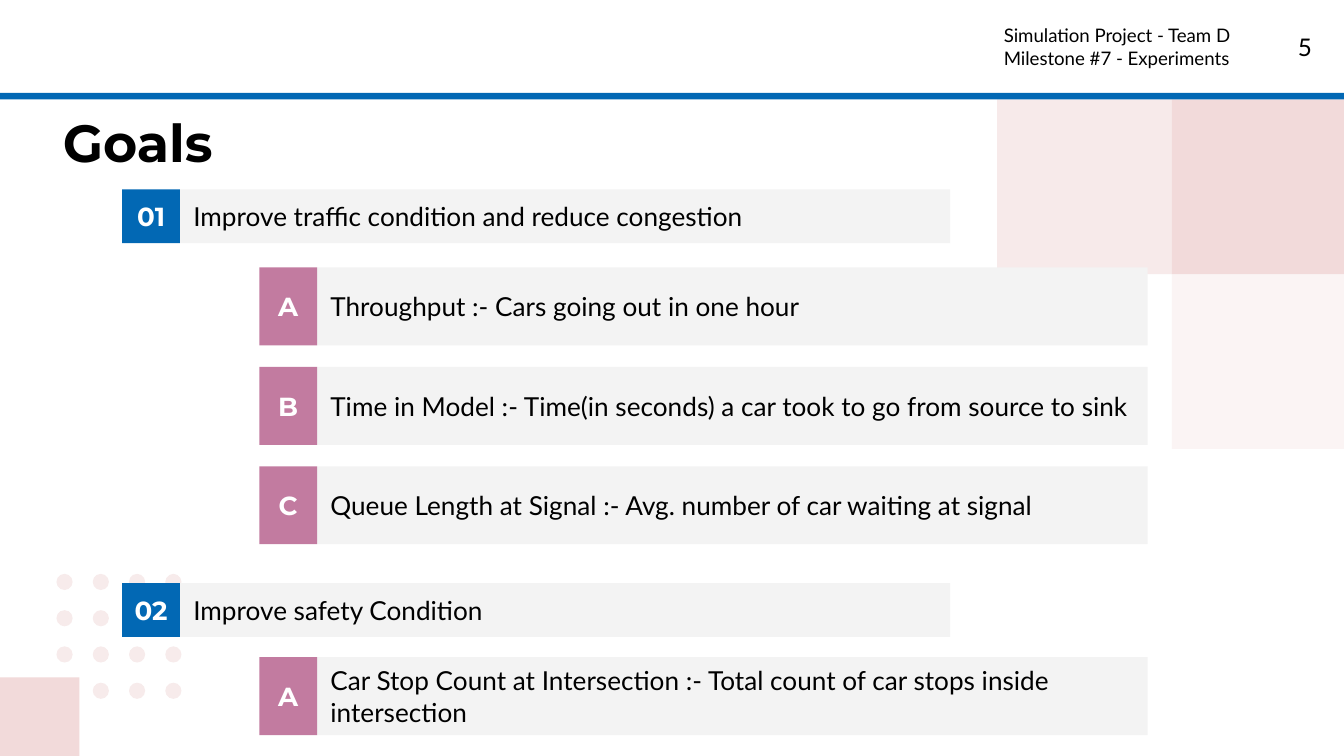
from lxml import etree
from pptx import Presentation
from pptx import util as u
from pptx.dml import color
from pptx.enum import shapes, text
from pptx.oxml import ns

COLORS = {"white": "FFFFFF", "black": "000000", "blue": "0268B4", "mauve": "C27BA0",
          "grey": "F3F3F3", "pink": "F2DADA", "dot": "F7EBEB"}
BODY = {"name": "Lato", "size": u.Pt(14), "bold": False}
BADGE = {"name": "Montserrat", "size": u.Pt(14), "bold": True}
TITLE = {"name": "Montserrat", "size": u.Pt(28), "bold": True}
NUMBER = {"name": "Lato", "size": u.Pt(13), "bold": False}
HEADER = {"name": "Lato", "size": u.Pt(10), "bold": False}
BADGE_WIDTH = 0.43
GOAL = {"left": 0.91, "width": 6.16, "height": 0.4, "hue": "blue"}
MEASURE = {"left": 1.93, "width": 6.61, "height": 0.58, "hue": "mauve"}
ROWS = [
    (GOAL, 1.41, "01", "Improve traffic condition and reduce congestion"),
    (MEASURE, 1.99, "A", "Throughput :- Cars going out in one hour"),
    (MEASURE, 2.73, "B", "Time in Model :- Time(in seconds) a car took to go from source to sink"),
    (MEASURE, 3.47, "C", "Queue Length at Signal :- Avg. number of car waiting at signal"),
    (GOAL, 4.34, "02", "Improve safety Condition"),
    (MEASURE, 4.89, "A",
     "Car Stop Count at Intersection :- Total count of car stops inside intersection"),
]


def rgb(name):
    """Return the colour object for a palette name."""
    return color.RGBColor.from_string(COLORS[name])


def add_block(page, left, top, width, height, fill, kind=shapes.MSO_SHAPE.RECTANGLE, alpha=100):
    """Add a flat filled shape with an optional opacity in percent."""
    box = page.shapes.add_shape(kind, *map(u.Inches, (left, top, width, height)))
    box.shadow.inherit = False
    box.fill.solid()
    box.fill.fore_color.rgb = rgb(fill)
    box.line.fill.background()
    if alpha < 100:
        tint = box._element.spPr.find(".//" + ns.qn("a:srgbClr"))
        etree.SubElement(tint, ns.qn("a:alpha"), val=str(alpha * 1000))
    return box


def write(box, lines, font, ink="black", align=text.PP_ALIGN.LEFT,
          anchor=text.MSO_ANCHOR.TOP, side=0.1):
    """Write lines of text in a box, one paragraph each."""
    frame = box.text_frame
    layout = {"word_wrap": True, "vertical_anchor": anchor,
              "margin_left": u.Inches(side), "margin_right": u.Inches(side),
              "margin_top": u.Inches(0.1), "margin_bottom": u.Inches(0.1)}
    for name, value in layout.items():
        setattr(frame, name, value)
    for index, line in enumerate(lines):
        para = frame.add_paragraph() if index else frame.paragraphs[0]
        para.alignment = align
        span = para.add_run()
        span.text = line
        for name, value in font.items():
            setattr(span.font, name, value)
        span.font.color.rgb = rgb(ink)


def add_text(page, left, top, width, height, lines, font, align=text.PP_ALIGN.LEFT):
    """Add a plain text box."""
    box = page.shapes.add_textbox(*map(u.Inches, (left, top, width, height)))
    write(box, lines, font, align=align)


def add_dots(page, left, top, pitch=0.27, size=0.12):
    """Add the dot grid, leaving out the places that are covered."""
    covered = {(1, 2), (3, 0)}
    for row in range(4):
        for column in range(4):
            if (row, column) not in covered:
                add_block(page, left + column * pitch, top + row * pitch, size, size,
                          "dot", shapes.MSO_SHAPE.OVAL)


def add_squares(page, left, top, side):
    """Add three tinted squares stepping from the given corner."""
    for column, row, alpha in ((1, 0, 100), (1, 1, 28), (0, 0, 55)):
        add_block(page, left + column * side, top + row * side, side, side, "pink", alpha=alpha)


def add_header(page, left, top, width, height):
    """Add the header band with its rule, project name and page number."""
    add_block(page, left, top, width, height, "white")
    add_block(page, left, top + height, width, 0.05, "blue")
    add_text(page, left + 7.37, top + 0.08, 2.08, 0.52,
             ["Simulation Project - Team D", "Milestone #7 - Experiments"], HEADER)
    add_text(page, left + 9.26, top + 0.14, 0.6, 0.43, ["5"], NUMBER, text.PP_ALIGN.RIGHT)


def add_row(page, left, top, width, height, hue, label, wording):
    """Add a labelled bar: a coloured badge followed by its wording."""
    bar = add_block(page, left + BADGE_WIDTH, top, width - BADGE_WIDTH, height, "grey")
    write(bar, [wording], BODY, anchor=text.MSO_ANCHOR.MIDDLE)
    badge = add_block(page, left, top, BADGE_WIDTH, height, hue)
    write(badge, [label], BADGE, "white", text.PP_ALIGN.CENTER, text.MSO_ANCHOR.MIDDLE, 0)


def main():
    """Build the goals slide and save the deck."""
    deck = Presentation()
    deck.slide_width = u.Inches(10)
    deck.slide_height = deck.slide_width * 9 // 16
    page = deck.slides.add_slide(deck.slide_layouts[6])
    add_dots(page, 0.42, 4.27)
    add_block(page, 0, 5.04, 0.59, 0.59, "pink")
    add_squares(page, 7.42, 0.74, 1.3)
    add_header(page, 0, 0, 10, 0.69)
    for style, top, label, wording in ROWS:
        add_row(page, top=top, label=label, wording=wording, **style)
    add_text(page, 0.37, 0.72, 2.07, 0.63, ["Goals"], TITLE)
    deck.save("out.pptx")


if __name__ == "__main__":
    main()
